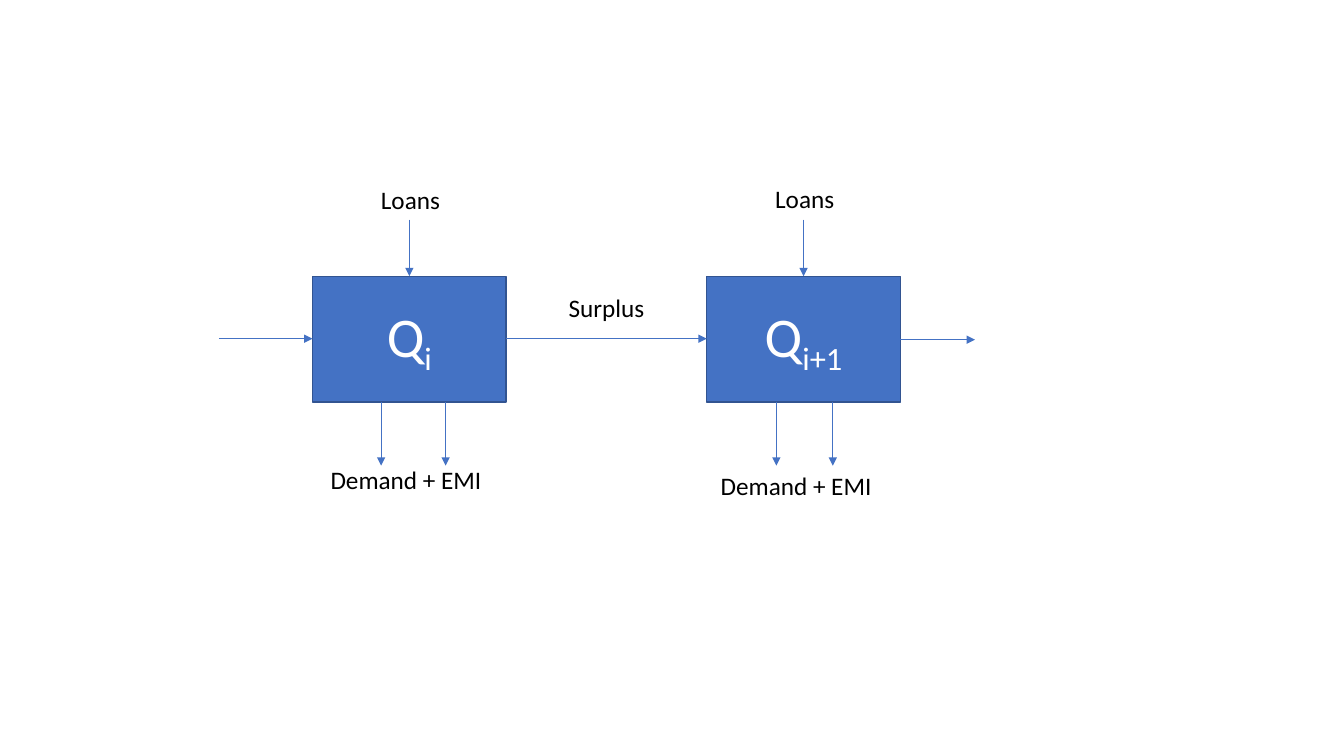
from lxml.etree import SubElement
from pptx import Presentation
from pptx.dml.color import RGBColor
from pptx.enum.shapes import MSO_CONNECTOR as CONN, MSO_SHAPE as SHAPE
from pptx.enum.text import MSO_ANCHOR as ANCHOR, MSO_AUTO_SIZE as FIT, PP_ALIGN as ALIGN
from pptx.oxml.ns import qn
from pptx.util import Inches, Pt


def rgb(value):
    """Turn a hex string into a colour."""
    return RGBColor.from_string(value)


class Diagram:
    """Hold the style and the current slide."""

    FONT, BLUE, EDGE, WHITE, BLACK = "Calibri", "4472C4", "325491", "FFFFFF", "000000"

    def __init__(self, slide):
        """Keep the slide to draw on."""
        self.shapes = slide.shapes

    def set_font(self, p, size, colour):
        """Set the font of a whole paragraph."""
        p.font.name, p.font.size = self.FONT, Pt(size)
        p.font.color.rgb = rgb(colour)

    def box(self, left, top, width, height, name, subscript):
        """Draw a stage box with a subscripted name."""
        sp = self.shapes.add_shape(SHAPE.RECTANGLE, Inches(left), Inches(top),
                                   Inches(width), Inches(height))
        sp.shadow.inherit = False
        sp.fill.solid()
        sp.fill.fore_color.rgb = rgb(self.BLUE)
        sp.line.color.rgb = rgb(self.EDGE)
        sp.line.width = Pt(1)
        tf = sp.text_frame
        tf.vertical_anchor = ANCHOR.MIDDLE
        p = tf.paragraphs[0]
        p.alignment = ALIGN.CENTER
        self.set_font(p, 40, self.WHITE)
        p.add_run().text = name
        r = p.add_run()
        r.text = subscript
        r._r.get_or_add_rPr().set("baseline", "-25000")

    def label(self, left, top, width, text):
        """Write a flow label."""
        sp = self.shapes.add_textbox(Inches(left), Inches(top), Inches(width), Inches(0.4))
        tf = sp.text_frame
        tf.word_wrap = True
        tf.auto_size = FIT.SHAPE_TO_FIT_TEXT
        p = tf.paragraphs[0]
        p.text = text
        self.set_font(p, 18, self.BLACK)

    def arrow(self, x1, y1, x2, y2):
        """Draw a thin arrow from the first point to the second."""
        cx = self.shapes.add_connector(CONN.STRAIGHT, Inches(x1), Inches(y1),
                                       Inches(x2), Inches(y2))
        cx.line.color.rgb = rgb(self.BLUE)
        cx.line.width = Pt(0.5)
        SubElement(cx.line._get_or_add_ln(), qn("a:tailEnd"), type="triangle")
        SubElement(cx._element.spPr, qn("a:effectLst"))


def main():
    """Build the slide with two linked stages."""
    prs = Presentation()
    prs.slide_width, prs.slide_height = Inches(13.33), Inches(7.5)
    d = Diagram(prs.slides.add_slide(prs.slide_layouts[6]))

    top, width, height = 2.74, 1.92, 1.25
    bottom = top + height
    stages = [
        (3.1, "i", 1.78, (3.18, 4.56), (3.78, 4.42)),
        (7.01, "i+1", 1.77, (7.05, 4.62), (7.7, 8.26)),
    ]
    for left, subscript, loans_top, demand, outflows in stages:
        middle = left + width / 2
        d.box(left, top, width, height, "Q", subscript)
        d.label(middle - 0.38, loans_top, 1.43, "Loans")
        d.arrow(middle, 2.18, middle, top)
        for x in outflows:
            d.arrow(x, bottom, x, 4.62)
        d.label(*demand, 1.84, "Demand + EMI")

    for start, end, y in [(2.17, 3.1, 3.36), (5.02, 7.01, 3.36), (8.93, 9.67, 3.37)]:
        d.arrow(start, y, end, y)
    d.label(5.54, 2.85, 1.22, "Surplus")
    prs.save("out.pptx")


if __name__ == "__main__":
    main()
